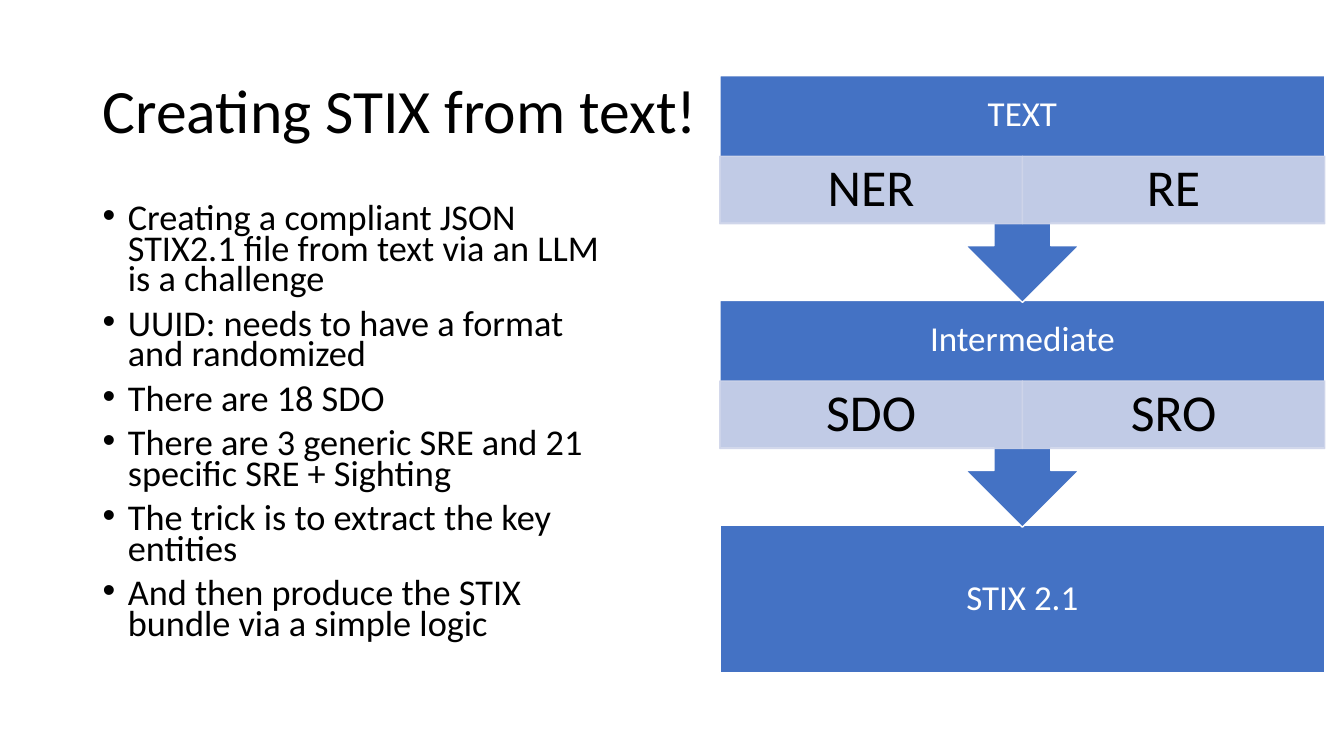
"""Build the slide on creating STIX from text."""
import pptx
import pptx.util
import pptx.dml.color
import pptx.enum.shapes
import pptx.enum.text
import pptx.oxml.ns
from lxml import etree

PX = 9144
BLUE = pptx.dml.color.RGBColor(0x44, 0x72, 0xC4)
PALE = pptx.dml.color.RGBColor(0xCF, 0xD5, 0xEA)
WHITE = pptx.dml.color.RGBColor(0xFF, 0xFF, 0xFF)
BLACK = pptx.dml.color.RGBColor(0x00, 0x00, 0x00)
KIND = pptx.enum.shapes.MSO_SHAPE
ALIGN = pptx.enum.text.PP_ALIGN
ANCHOR = pptx.enum.text.MSO_ANCHOR
qn = pptx.oxml.ns.qn

deck = pptx.Presentation()
deck.slide_width, deck.slide_height = 1333 * PX, 750 * PX
slide = deck.slides.add_slide(deck.slide_layouts[6])


def add_text(box, lines, size, color, align=ALIGN.CENTER, anchor=ANCHOR.MIDDLE,
             pad=(10, 5), lead=0.9, gap=0, bullet=False):
    at = [n * PX for n in box]
    frame = slide.shapes.add_textbox(*at).text_frame
    frame.word_wrap = True
    frame.vertical_anchor = anchor
    frame.margin_left = frame.margin_right = pad[0] * PX
    frame.margin_top = frame.margin_bottom = pad[1] * PX
    for i, line in enumerate(lines):
        para = frame.paragraphs[0] if i == 0 else frame.add_paragraph()
        para.alignment = align
        para.line_spacing = lead
        if i:
            para.space_before = pptx.util.Pt(gap)
        if bullet:
            props = para._p.get_or_add_pPr()
            props.set("marL", str(25 * PX))
            props.set("indent", str(-25 * PX))
            etree.SubElement(props, qn("a:buFont")).set("typeface", "Arial")
            etree.SubElement(props, qn("a:buChar")).set("char", "•")
        run = para.add_run()
        run.text = line
        run.font.name = "Calibri"
        run.font.size = pptx.util.Pt(size)
        run.font.color.rgb = color


def add_block(kind, box, fill, edge, alpha=100):
    at = [n * PX for n in box]
    shape = slide.shapes.add_shape(kind, *at)
    shape.shadow.inherit = False
    shape.fill.solid()
    shape.fill.fore_color.rgb = fill
    shape.line.color.rgb = edge
    shape.line.width = pptx.util.Pt(1)
    if alpha < 100:
        for tint in shape._element.spPr.iter(qn("a:srgbClr")):
            etree.SubElement(tint, qn("a:alpha")).set("val", str(alpha * 1000))
    return shape


add_text((92, 40, 1150, 145), ["Creating STIX from text!"], 44, BLACK, ALIGN.LEFT)

points = [
    "Creating a compliant JSON STIX2.1 file from text via an LLM is a challenge",
    "UUID: needs to have a format and randomized",
    "There are 18 SDO",
    "There are 3 generic SRE and 21 specific SRE + Sighting",
    "The trick is to extract the key entities",
    "And then produce the STIX bundle via a simple logic",
]
add_text((92, 200, 527, 476), points, 25.9, BLACK, ALIGN.LEFT, ANCHOR.TOP,
         lead=0.7, gap=10, bullet=True)

left, top, wide, step = 714, 75, 600, 223
half = wide // 2
last = (left, top + 2 * step, wide, 146)
add_block(KIND.RECTANGLE, last, BLUE, WHITE)
add_text(last, ["STIX 2.1"], 25, WHITE, pad=(19, 19))

stages = [("TEXT", ("NER", "RE")), ("Intermediate", ("SDO", "SRO"))]
for row, (head, parts) in reversed(list(enumerate(stages))):
    y = top + row * step
    arrow = add_block(KIND.UP_ARROW_CALLOUT, (left, y, wide, 225), BLUE, WHITE)
    arrow.rotation = 180
    add_text((left, y, wide, 79), [head], 25, WHITE, pad=(19, 19))
    for col, part in enumerate(parts):
        cell = (left + col * half, y + 80, half, 67)
        add_block(KIND.RECTANGLE, cell, PALE, PALE, alpha=90)
        add_text(cell, [part], 37, BLACK, pad=(29, 5))

deck.save("out.pptx")
